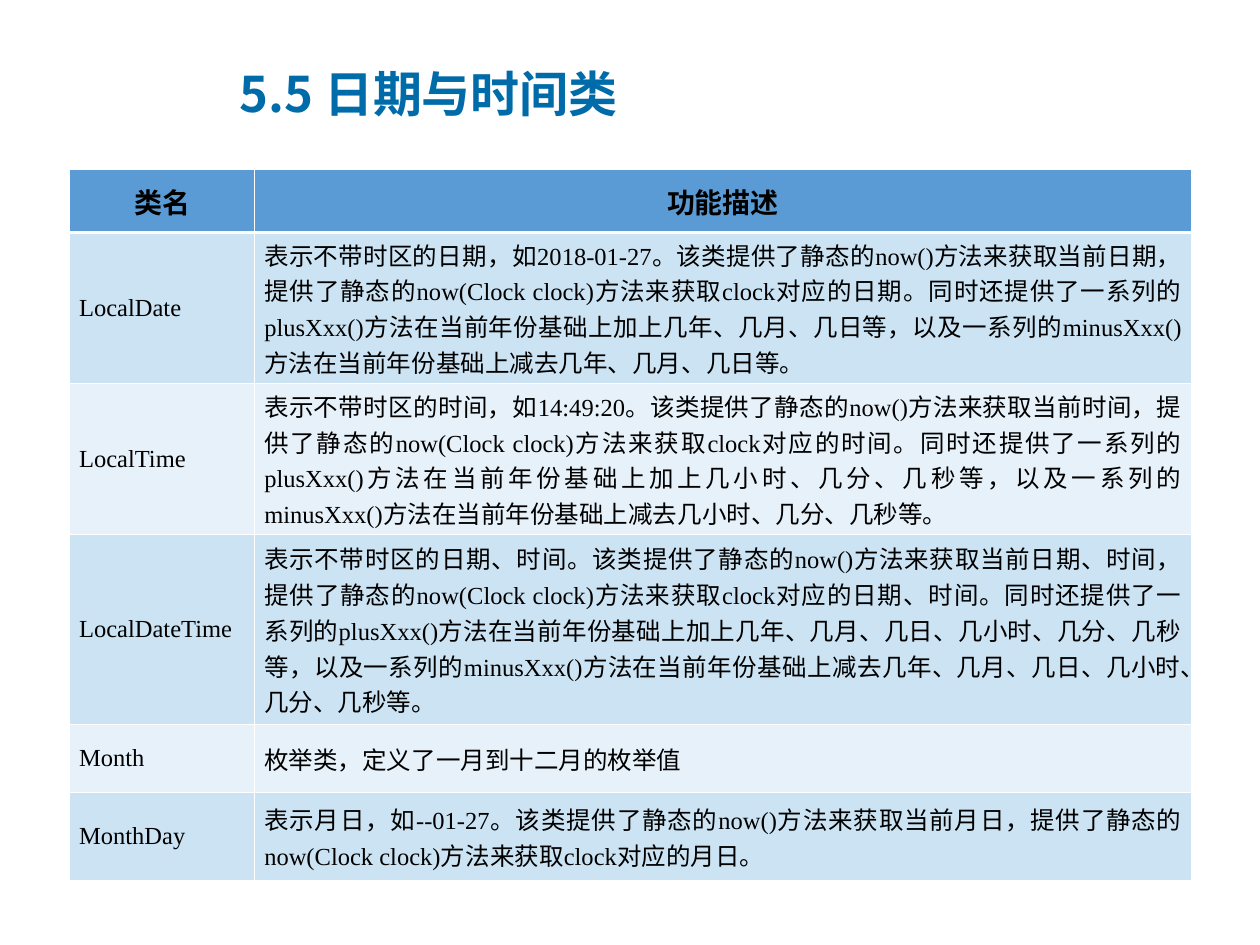
from dataclasses import dataclass

import pptx
import pptx.dml.color
import pptx.enum.text
import pptx.oxml
import pptx.oxml.ns
import pptx.util
from pptx.enum.text import MSO_ANCHOR, PP_ALIGN

Pt = pptx.util.Pt
COLORS = {
    "title": "006BA9",
    "header": "5B9BD5",
    "odd": "CBE3F2",
    "even": "E7F1F9",
    "border": "FFFFFF",
    "text": "000000",
}
CJK_FONT = "Noto Sans CJK SC"
LATIN_FONT = "Times New Roman"
COLUMN_WIDTHS = (105.84, 534.96)
THIN, THICK = 0.45, 1.47


@dataclass
class Row:
    name: str
    description: str
    height: float


ROWS = [
    Row("类名", "功能描述", 36),
    Row(
        "LocalDate",
        "表示不带时区的日期，如2018-01-27。该类提供了静态的now()方法来获取当前日期，"
        "提供了静态的now(Clock clock)方法来获取clock对应的日期。"
        "同时还提供了一系列的plusXxx()方法在当前年份基础上加上几年、几月、几日等，"
        "以及一系列的minusXxx()方法在当前年份基础上减去几年、几月、几日等。",
        86.4,
    ),
    Row(
        "LocalTime",
        "表示不带时区的时间，如14:49:20。该类提供了静态的now()方法来获取当前时间，"
        "提供了静态的now(Clock clock)方法来获取clock对应的时间。"
        "同时还提供了一系列的plusXxx()方法在当前年份基础上加上几小时、几分、几秒等，"
        "以及一系列的minusXxx()方法在当前年份基础上减去几小时、几分、几秒等。",
        86.4,
    ),
    Row(
        "LocalDateTime",
        "表示不带时区的日期、时间。该类提供了静态的now()方法来获取当前日期、时间，"
        "提供了静态的now(Clock clock)方法来获取clock对应的日期、时间。"
        "同时还提供了一系列的plusXxx()方法在当前年份基础上加上几年、几月、几日、几小时、几分、几秒等，"
        "以及一系列的minusXxx()方法在当前年份基础上减去几年、几月、几日、几小时、几分、几秒等。",
        108.4,
    ),
    Row("Month", "枚举类，定义了一月到十二月的枚举值", 38.9),
    Row(
        "MonthDay",
        "表示月日，如--01-27。该类提供了静态的now()方法来获取当前月日，"
        "提供了静态的now(Clock clock)方法来获取clock对应的月日。",
        50.4,
    ),
]


def rgb(name: str) -> pptx.dml.color.RGBColor:
    return pptx.dml.color.RGBColor.from_string(COLORS[name])


def format_para(para, latin: str, size: float, color: str, bold: bool, align) -> None:
    para.alignment = align
    for span in para.runs:
        span.font.name = latin
        span.font.size = Pt(size)
        span.font.bold = bold
        span.font.color.rgb = rgb(color)
        east_asian = pptx.oxml.parse_xml(
            f'<a:ea {pptx.oxml.ns.nsdecls("a")} typeface="{CJK_FONT}"/>'
        )
        span.font._element.find(pptx.oxml.ns.qn("a:latin")).addnext(east_asian)


def add_borders(cell, top: float, bottom: float) -> None:
    properties = cell._tc.get_or_add_tcPr()
    for side, width in (("L", THIN), ("R", THIN), ("T", top), ("B", bottom)):
        properties.append(pptx.oxml.parse_xml(
            f'<a:ln{side} {pptx.oxml.ns.nsdecls("a")} w="{Pt(width)}">'
            f'<a:solidFill><a:srgbClr val="{COLORS["border"]}"/></a:solidFill>'
            f'</a:ln{side}>'
        ))


def fill_cell(cell, text: str, row_index: int) -> None:
    is_header = row_index == 0
    add_borders(cell, THICK if row_index == 1 else THIN, THICK if is_header else THIN)
    fill = "header" if is_header else ("odd" if row_index % 2 else "even")
    cell.fill.solid()
    cell.fill.fore_color.rgb = rgb(fill)
    cell.vertical_anchor = MSO_ANCHOR.MIDDLE
    cell.margin_left = cell.margin_right = Pt(5.4)
    cell.margin_top = cell.margin_bottom = Pt(2)
    cell.text_frame.text = text
    format_para(
        cell.text_frame.paragraphs[0], LATIN_FONT, 16 if is_header else 14, "text",
        is_header, PP_ALIGN.CENTER if is_header else PP_ALIGN.JUSTIFY,
    )


def add_title(page, text: str) -> None:
    title = page.shapes.title
    title.left, title.top, title.width, title.height = Pt(129.6), Pt(31), Pt(420), Pt(44)
    frame = title.text_frame
    frame.text = text
    frame.word_wrap = True
    frame.auto_size = pptx.enum.text.MSO_AUTO_SIZE.NONE
    frame.vertical_anchor = MSO_ANCHOR.MIDDLE
    format_para(frame.paragraphs[0], CJK_FONT, 28, "title", True, PP_ALIGN.LEFT)


def add_class_table(page) -> None:
    table = page.shapes.add_table(
        len(ROWS), len(COLUMN_WIDTHS), Pt(39.8), Pt(96.8),
        Pt(sum(COLUMN_WIDTHS)), Pt(sum(row.height for row in ROWS)),
    ).table
    for column, width in zip(table.columns, COLUMN_WIDTHS):
        column.width = Pt(width)
    for index, row in enumerate(ROWS):
        table.rows[index].height = Pt(row.height)
        for column_index, text in enumerate((row.name, row.description)):
            fill_cell(table.cell(index, column_index), text, index)


def main() -> None:
    deck = pptx.Presentation()
    deck.slide_width, deck.slide_height = Pt(720), Pt(540)
    page = deck.slides.add_slide(deck.slide_layouts[5])
    add_title(page, "5.5 日期与时间类")
    add_class_table(page)
    deck.save("out.pptx")


if __name__ == "__main__":
    main()
